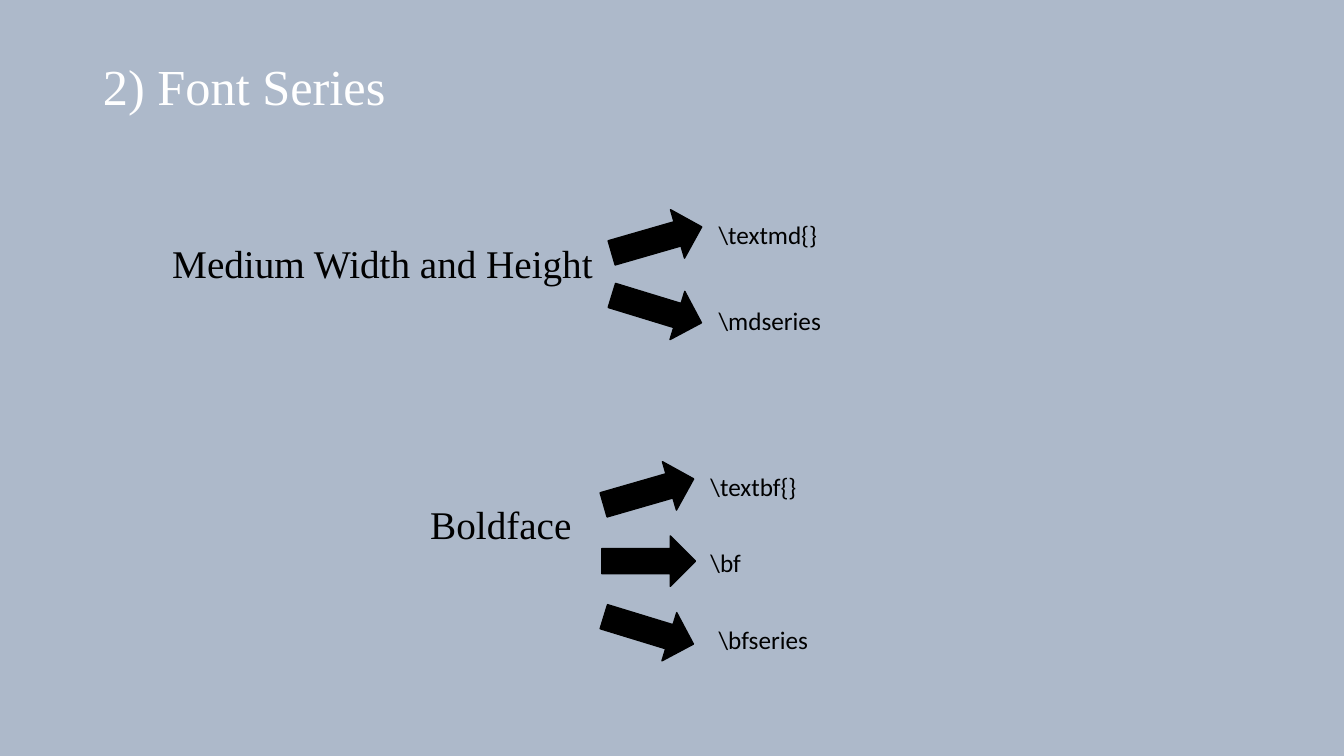
from pptx import Presentation
from pptx.dml.color import RGBColor
from pptx.enum.shapes import MSO_SHAPE
from pptx.enum.text import MSO_ANCHOR, MSO_AUTO_SIZE, PP_ALIGN
from pptx.util import Inches, Pt

ARROW = MSO_SHAPE.RIGHT_ARROW
TOP = MSO_ANCHOR.TOP
LEFT = PP_ALIGN.LEFT
GROW = MSO_AUTO_SIZE.SHAPE_TO_FIT_TEXT

COLORS = {"back": "ADB9CA", "title": "FFFFFF", "ink": "000000"}
TITLE = {"name": "Times New Roman", "size": Pt(36), "color": "title"}
HEAD = {"name": "Times New Roman", "size": Pt(28), "color": "ink"}
CODE = {"name": "Calibri", "size": Pt(18), "color": "ink"}

CELL = Inches(0.1)  # grid of 133.3 columns by 75 rows
STEP = 6.87         # rows from one arrow to the next
UP, FLAT, DOWN = 343.9, 0, 17

# head text and box, column and row of the first arrow,
# then for each command: text, arrow turn, column and row of the label
SERIES = [
    ("Medium Width and Height", (16.1, 23.3, 43.9, 5.7), (60.5, 21.3), [
        ("\\textmd{}", UP, 70.3, 21.3),
        ("\\mdseries", DOWN, 70.3, 29.8),
    ]),
    ("Boldface", (41.7, 49.1, 17.4, 5.7), (59.7, 46.3), [
        ("\\textbf{}", UP, 69.5, 46.3),
        ("\\bf", FLAT, 69.5, 53.8),
        ("\\bfseries", DOWN, 70.3, 61.4),
    ]),
]


def cells(*spans):
    return [round(span * CELL) for span in spans]


def tint(name):
    return RGBColor.from_string(COLORS[name])


def write(shape, text, style):
    frame = shape.text_frame
    for key, value in {"word_wrap": True, "auto_size": GROW,
                       "vertical_anchor": TOP}.items():
        setattr(frame, key, value)
    frame.text = text
    line = frame.paragraphs[0]
    line.alignment = LEFT
    for key in ("name", "size"):
        setattr(line.font, key, style[key])
    line.font.color.rgb = tint(style["color"])


def add_title(slide, text, box):
    title = slide.shapes.title
    for key, value in zip(("left", "top", "width", "height"), cells(*box)):
        setattr(title, key, value)
    write(title, text, TITLE)


def add_label(group, text, box, style):
    write(group.shapes.add_textbox(*cells(*box)), text, style)


def add_arrow(group, col, row, turn):
    arrow = group.shapes.add_shape(ARROW, *cells(col, row, 9.3, 5))
    arrow.rotation = turn
    arrow.shadow.inherit = False
    arrow.fill.solid()
    arrow.fill.fore_color.rgb = tint("ink")
    arrow.line.color.rgb = tint("ink")
    arrow.line.width = Pt(1)


def add_series(slide, head, box, start, items):
    """Group a head with an arrow and a label for each command."""
    group = slide.shapes.add_group_shape()
    add_label(group, head, box, HEAD)
    col, row = start
    for index, (text, turn, left, top) in enumerate(items):
        add_arrow(group, col, row + index * STEP, turn)
        add_label(group, text, (left, top, 29.4, 4), CODE)


def main():
    deck = Presentation()
    deck.slide_width, deck.slide_height = cells(133.33, 75)
    slide = deck.slides.add_slide(deck.slide_layouts[5])
    fill = slide.background.fill
    fill.solid()
    fill.fore_color.rgb = tint("back")
    add_title(slide, "2) Font Series", (9.2, 5, 88.3, 7.1))
    for series in SERIES:
        add_series(slide, *series)
    deck.save("out.pptx")


if __name__ == "__main__":
    main()
